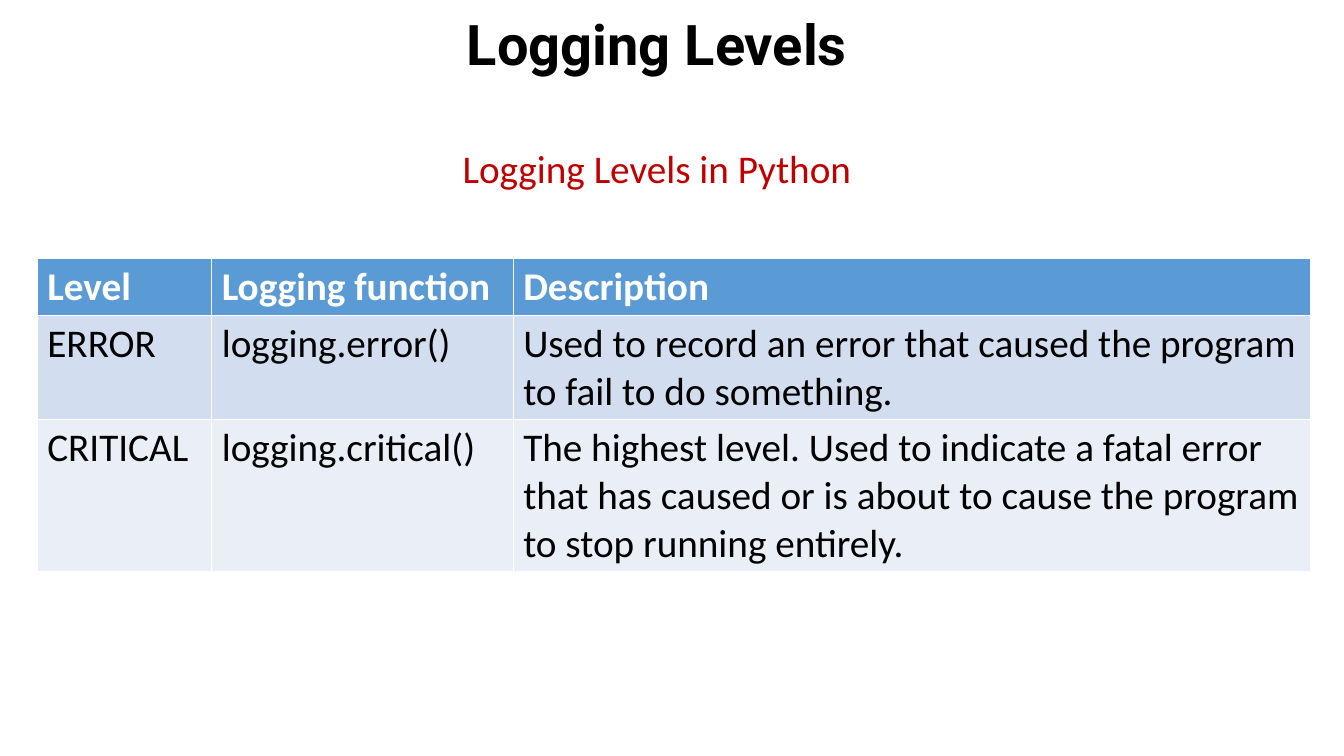
from pptx import Presentation, util as u
from pptx.dml.color import RGBColor
from pptx.enum import text as t

PX = 9144


def px(*nums):
    return [u.Emu(n * PX) for n in nums]


def style(para, size, font, color, bold=False):
    for run in para.runs:
        run.font.size = u.Pt(size)
        run.font.name = font
        run.font.bold = bold
        run.font.color.rgb = RGBColor.from_string(color)


deck = Presentation()
deck.slide_width, deck.slide_height = px(1333, 750)
slide = deck.slides.add_slide(deck.slide_layouts[5])

title = slide.shapes.title
title.left, title.top, title.width, title.height = px(-30, -43, 1363, 181)
frame = title.text_frame
frame.text = "Logging Levels"
frame.vertical_anchor = t.MSO_ANCHOR.MIDDLE
head = frame.paragraphs[0]
head.alignment = t.PP_ALIGN.CENTER
head.line_spacing = 0.9
style(head, 40, "Roboto", "000000", True)

box = slide.shapes.add_textbox(*px(21, 138, 1261, 57))
frame = box.text_frame
frame.word_wrap = True
frame.auto_size = t.MSO_AUTO_SIZE.SHAPE_TO_FIT_TEXT
frame.text = "Logging Levels in Python"
sub = frame.paragraphs[0]
sub.alignment = t.PP_ALIGN.CENTER
sub.space_after = u.Pt(12)
style(sub, 28, "Calibri", "C00000")

rows = [
    ("Level", "Logging function", "Description"),
    ("ERROR", "logging.error()",
     "Used to record an error that caused the program to fail to do something."),
    ("CRITICAL", "logging.critical()",
     "The highest level. Used to indicate a fatal error that has caused "
     "or is about to cause the program to stop running entirely."),
]
fills = ["5B9BD5", "D2DEEF", "EAEFF7"]
table = slide.shapes.add_table(3, 3, *px(37, 256, 1263, 310)).table
for col, width in zip(table.columns, px(173, 299, 791)):
    col.width = width
for row, high in zip(table.rows, px(56, 103, 151)):
    row.height = high

for r, (words, fill) in enumerate(zip(rows, fills)):
    for c, word in enumerate(words):
        cell = table.cell(r, c)
        cell.text_frame.text = word
        cell.fill.solid()
        cell.fill.fore_color.rgb = RGBColor.from_string(fill)
        color = "FFFFFF" if r == 0 else "000000"
        style(cell.text_frame.paragraphs[0], 28, "Calibri", color, r == 0)

deck.save("out.pptx")
